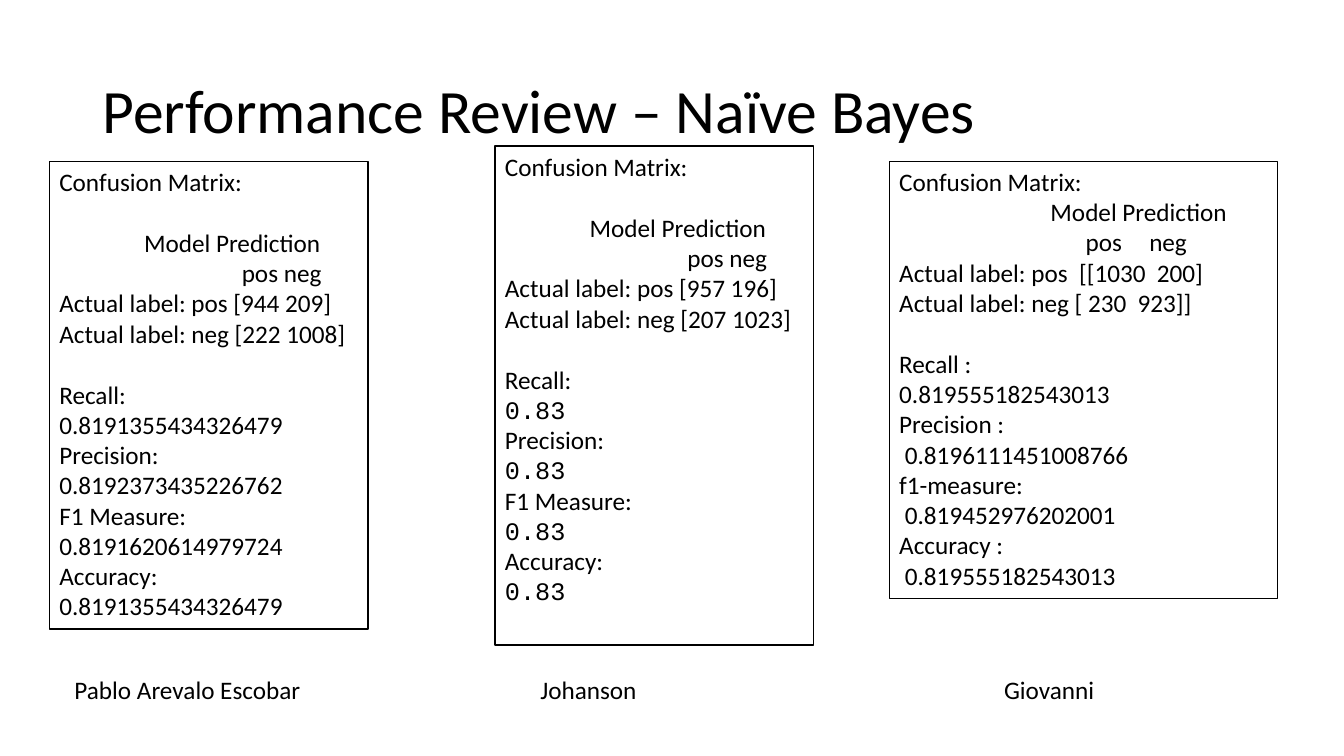
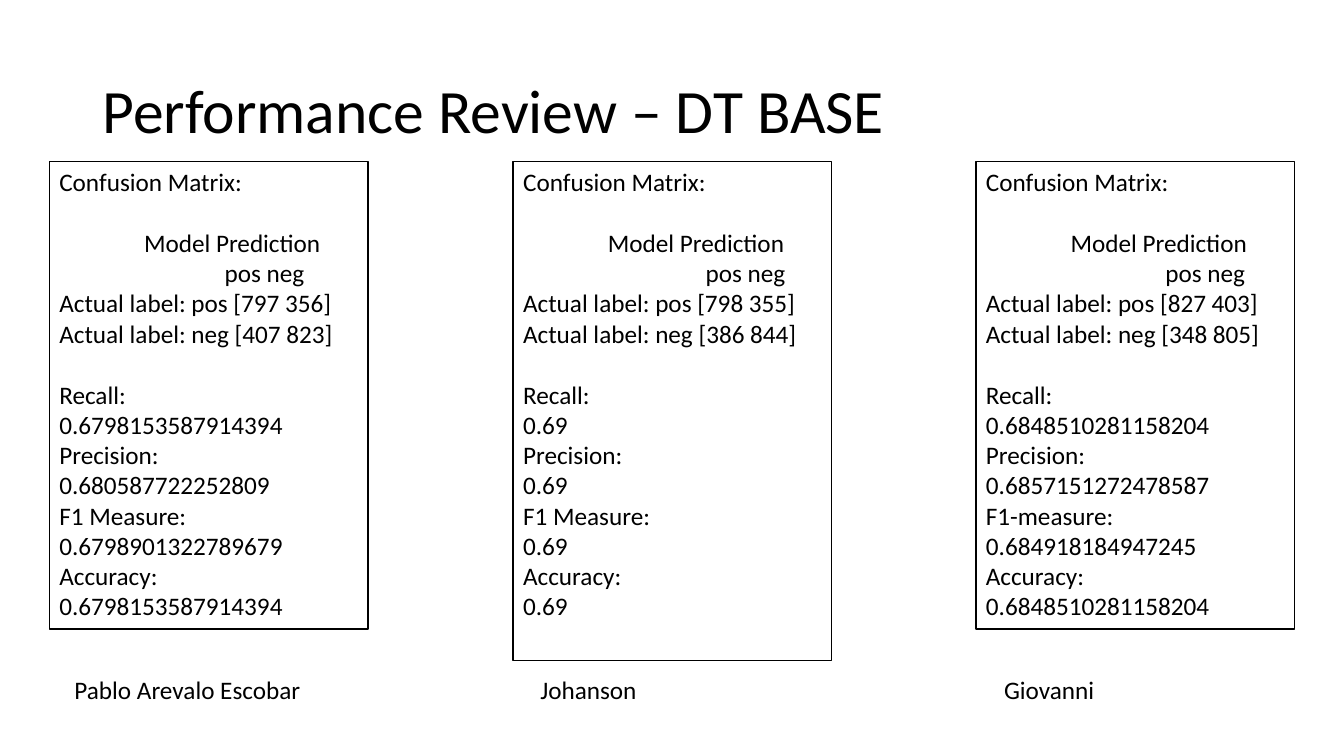
from dataclasses import dataclass

from lxml import etree
from pptx import Presentation
from pptx.dml.color import RGBColor
from pptx.enum.shapes import MSO_SHAPE as Preset
from pptx.enum.text import MSO_ANCHOR as Anchor, PP_ALIGN as Align
from pptx.oxml.ns import qn
from pptx.util import Inches, Pt

# Shared style
BLACK, WHITE = "000000", "FFFFFF"
BODY_FONT, CODE_FONT = "Calibri", "Courier New"
TITLE_SIZE, BODY_SIZE = 44, 18
BLANK_LINE = 22
BOX_TOP, BOX_WIDTH, BOX_HEIGHT = 1.6, 3.16, 4.64
LABELS = ("Recall:", "Precision:", "F1 Measure:", "Accuracy:")
AUTHORS = (("Pablo Arevalo Escobar", 0.64), ("Johanson", 5.26), ("Giovanni", 9.86))


@dataclass
class Result:
    """One confusion matrix with its scores; tab stops are in inches."""
    left: float
    matrix: tuple
    scores: tuple
    labels: tuple = LABELS
    top: float = BOX_TOP
    width: float = BOX_WIDTH
    height: float = BOX_HEIGHT
    model_stop: float = 0.84
    class_stops: tuple = (1.81,)
    classes: str = "\tpos neg"
    header_gap: int = BLANK_LINE
    score_font: str = BODY_FONT


NAIVE_BAYES = (
    Result(0.49, ("pos [944 209]", "neg [222 1008]"),
           ("0.8191355434326479", "0.8192373435226762",
            "0.8191620614979724", "0.8191355434326479")),
    Result(4.91, ("pos [957 196]", "neg [207 1023]"), ("0.83",) * 4,
           top=1.45, height=4.95, score_font=CODE_FONT),
    Result(8.82, ("pos  [[1030  200]", "neg [ 230  923]]"),
           ("0.819555182543013", " 0.8196111451008766",
            " 0.819452976202001", " 0.819555182543013"),
           labels=("Recall :", "Precision :", "f1-measure:", "Accuracy :"),
           width=3.85, height=4.34, model_stop=1.5,
           class_stops=(1.85, 2.48), classes="\tpos\tneg", header_gap=0),
)

DECISION_TREE = (
    Result(0.49, ("pos [797 356]", "neg [407 823]"),
           ("0.6798153587914394", "0.680587722252809",
            "0.6798901322789679", "0.6798153587914394"), class_stops=(1.64,)),
    Result(5.09, ("pos [798 355]", "neg [386 844]"), ("0.69",) * 4, height=4.95),
    Result(9.68, ("pos [827 403]", "neg [348 805]"),
           ("0.6848510281158204", "0.6857151272478587",
            "0.684918184947245", "0.6848510281158204"),
           labels=("Recall:", "Precision:", "F1-measure:", "Accuracy:"),
           class_stops=(1.78,)),
)


def color(value):
    return RGBColor.from_string(value)


def write(paragraph, text, size=BODY_SIZE, font=BODY_FONT):
    paragraph.alignment = Align.LEFT
    run = paragraph.add_run()
    run.text = text
    run.font.size = Pt(size)
    run.font.name = font
    run.font.color.rgb = color(BLACK)


def set_tab_stops(paragraph, stops):
    properties = paragraph._p.get_or_add_pPr()
    tab_list = etree.SubElement(properties, qn("a:tabLst"))
    for stop in stops:
        etree.SubElement(tab_list, qn("a:tab"), pos=str(Inches(stop)), algn="l")


def add_text(slide, text, left, top, width, height, size=BODY_SIZE, anchor=Anchor.TOP):
    box = slide.shapes.add_textbox(Inches(left), Inches(top), Inches(width), Inches(height))
    frame = box.text_frame
    frame.word_wrap = True
    frame.vertical_anchor = anchor
    write(frame.paragraphs[0], text, size)
    return frame.paragraphs[0]


def add_result(slide, result):
    shape = slide.shapes.add_shape(Preset.RECTANGLE, Inches(result.left), Inches(result.top),
                                   Inches(result.width), Inches(result.height))
    shape.shadow.inherit = False
    shape.fill.solid()
    shape.fill.fore_color.rgb = color(WHITE)
    shape.line.color.rgb = color(BLACK)
    shape.line.width = Pt(1)
    frame = shape.text_frame
    frame.word_wrap = True
    frame.vertical_anchor = Anchor.TOP

    def add_line(text, gap=0, stops=(), font=BODY_FONT):
        paragraph = frame.add_paragraph()
        paragraph.space_before = Pt(gap)
        if stops:
            set_tab_stops(paragraph, stops)
        write(paragraph, text, font=font)

    # Confusion matrix
    write(frame.paragraphs[0], "Confusion Matrix:")
    add_line("\tModel Prediction", result.header_gap, (result.model_stop,))
    add_line(result.classes, stops=result.class_stops)
    for row in result.matrix:
        add_line(f"Actual label: {row}")

    # Scores
    for index, (label, score) in enumerate(zip(result.labels, result.scores)):
        add_line(label, 0 if index else BLANK_LINE)
        add_line(score, font=result.score_font)


def add_review(presentation, title, results):
    slide = presentation.slides.add_slide(presentation.slide_layouts[6])
    heading = add_text(slide, title, 0.92, 0.4, 11.5, 1.45, TITLE_SIZE, Anchor.MIDDLE)
    heading.line_spacing = 0.9
    for result in results:
        add_result(slide, result)
    for author, left in AUTHORS:
        add_text(slide, author, left, 6.64, 2.82, 0.4)


def main():
    presentation = Presentation()
    presentation.slide_width = Inches(13.33)
    presentation.slide_height = Inches(7.5)
    add_review(presentation, "Performance Review – Naïve Bayes", NAIVE_BAYES)
    add_review(presentation, "Performance Review – DT BASE", DECISION_TREE)
    presentation.save("out.pptx")


main()
